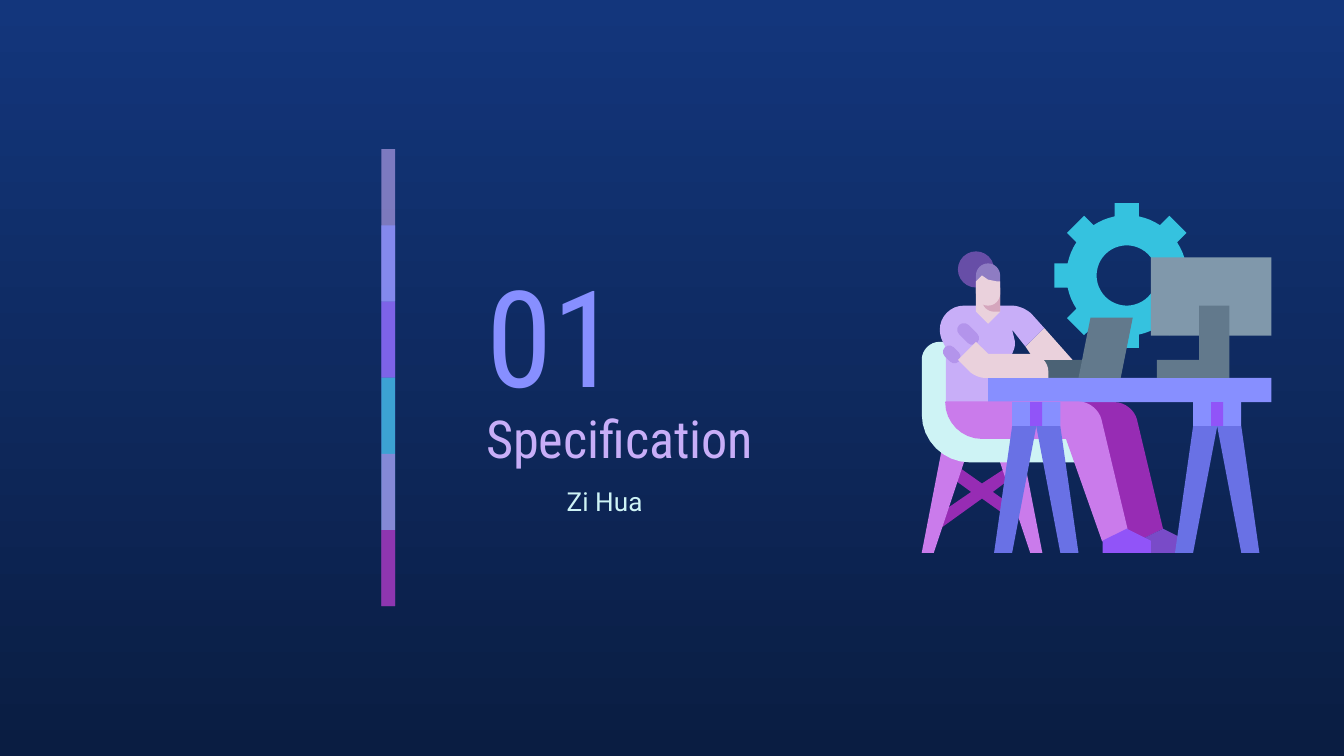
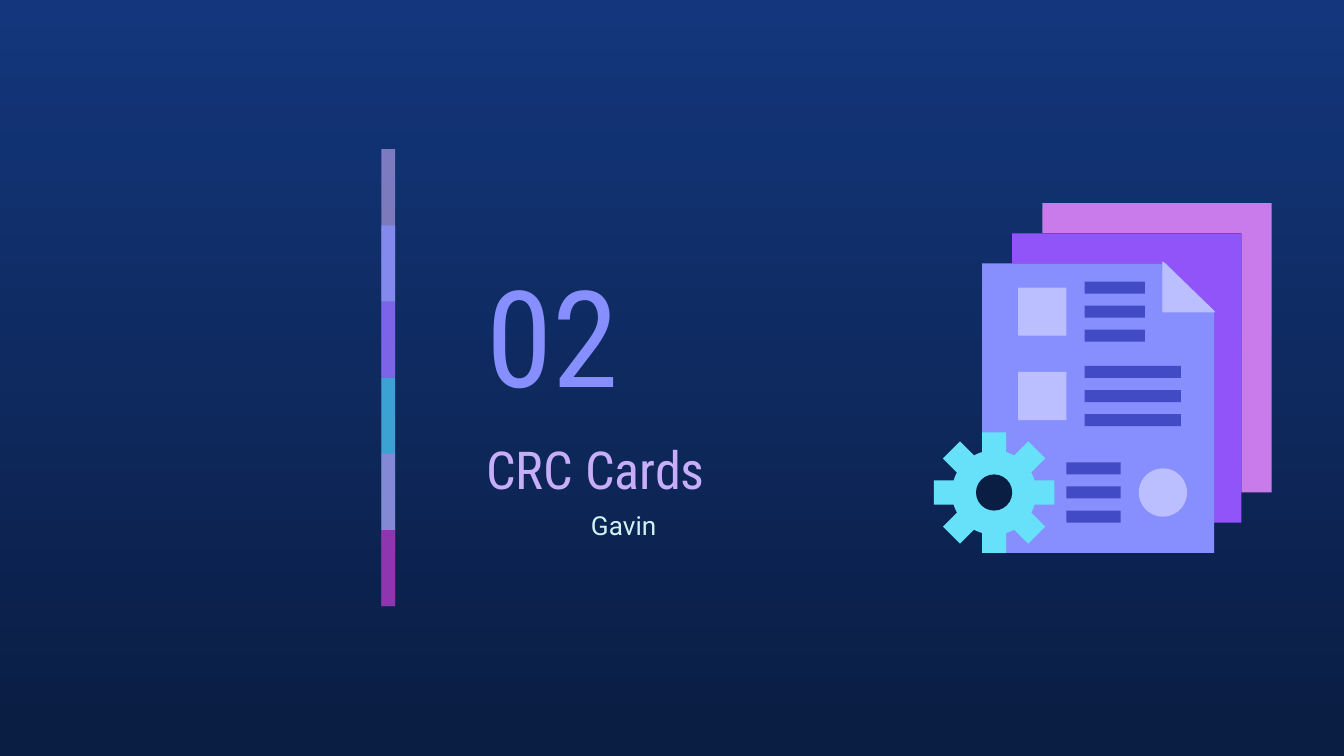
"""Build two section slides with a shared colour band and flat illustrations."""
import math

from lxml import etree
from pptx import Presentation
from pptx import util as u
from pptx.dml.color import RGBColor
from pptx.enum import shapes, text
from pptx.oxml import ns

NAVY_TOP = RGBColor(0x13, 0x36, 0x7C)
NAVY = RGBColor(0x0A, 0x1D, 0x42)
LILAC = RGBColor(0xC8, 0xAE, 0xF8)
PERIWINKLE = RGBColor(0x87, 0x8F, 0xFF)
VIOLET = RGBColor(0x91, 0x54, 0xF8)
TEAL = RGBColor(0x35, 0xC2, 0xDF)
ORCHID = RGBColor(0xCA, 0x7B, 0xEB)
PLUM = RGBColor(0x97, 0x2C, 0xB4)
ICE = RGBColor(0xCE, 0xF3, 0xF5)
AQUA = RGBColor(0x67, 0xE0, 0xF9)
PALE = RGBColor(0xBB, 0xBF, 0xFF)
INDIGO = RGBColor(0x42, 0x4B, 0xC4)
TRESTLE = RGBColor(0x69, 0x71, 0xE5)
GRAPHITE = RGBColor(0x4B, 0x62, 0x75)
STEEL = RGBColor(0x62, 0x79, 0x8C)
SILVER = RGBColor(0x80, 0x98, 0xAB)
SKIN = RGBColor(0xEA, 0xD1, 0xDC)
BLUSH = RGBColor(0xD5, 0xA6, 0xBD)
PATCH = RGBColor(0xB3, 0x94, 0xEB)
BUN = RGBColor(0x67, 0x4E, 0xA7)
HAIR = RGBColor(0x8E, 0x7C, 0xC3)
SHADED_SHOE = RGBColor(0x79, 0x4B, 0xC8)

BAND = [(LILAC, 59), (PERIWINKLE, 74), (VIOLET, 53),
        (TEAL, 76), (ORCHID, 56), (PLUM, 74)]
ART_LEFT, ART_TOP, ART_SIZE, ART_CELLS = 17.42, 3.84, 6.61, 58
RECT = shapes.MSO_SHAPE.RECTANGLE
OVAL = shapes.MSO_SHAPE.OVAL
PILL = shapes.MSO_SHAPE.ROUNDED_RECTANGLE


def cells(count):
    """Turn a count of illustration grid cells into a length."""
    return u.Cm(count * ART_SIZE / ART_CELLS)


def place(x, y):
    """Turn a grid position into a position on the slide."""
    return u.Cm(ART_LEFT) + cells(x), u.Cm(ART_TOP) + cells(y)


def polar(center, radius, angle):
    """Return the grid point at an angle and a distance from a center."""
    return center[0] + radius * math.sin(angle), center[1] - radius * math.cos(angle)


def toward(start, end, distance):
    """Return the point that lies a distance from start on the way to end."""
    share = distance / math.dist(start, end)
    return tuple(a + (b - a) * share for a, b in zip(start, end))


def rounded(outline, steps=8):
    """Replace each corner that carries a radius by a smooth curve."""
    points = []
    for index, (x, y, *radius) in enumerate(outline):
        corner = (x, y)
        if not radius:
            points.append(corner)
            continue
        before = outline[index - 1][:2]
        after = outline[(index + 1) % len(outline)][:2]
        enter = toward(corner, before, radius[0])
        leave = toward(corner, after, radius[0])
        for step in range(steps + 1):
            t = step / steps
            near = (1 - t) ** 3 + 1.35 * t * (1 - t) ** 2
            far = t ** 3 + 1.35 * t ** 2 * (1 - t)
            points.append(tuple(near * a + far * b + (1 - near - far) * c
                                for a, b, c in zip(enter, leave, corner)))
    return points


class Deck:
    """Hold the presentation, its style and the current slide."""

    def __init__(self):
        """Start an empty widescreen presentation."""
        self.prs = Presentation()
        self.prs.slide_width, self.prs.slide_height = u.Cm(25.4), u.Cm(14.29)

    def section(self, number, heading, heading_top, speaker, speaker_at):
        """Add a section slide with its background, band and texts."""
        self.slide = self.prs.slides.add_slide(self.prs.slide_layouts[6])
        backdrop = self.slide.background.fill
        backdrop.gradient()
        backdrop.gradient_angle = 270
        for stop, color in zip(backdrop.gradient_stops, (NAVY_TOP, NAVY)):
            stop.color.rgb = color
        self.band()
        middle, top = text.MSO_ANCHOR.MIDDLE, text.MSO_ANCHOR.TOP
        self.label(number, (8.94, 4.6, 4.45, 3.43), 72, PERIWINKLE, anchor=middle)
        self.label(heading, (8.94, heading_top, 7.29, 1.7), 28, LILAC, anchor=middle)
        self.label(speaker, (*speaker_at, 6.43, 1.75), 14, ICE, "Roboto", top, 16)
        self.art = self.slide.shapes.add_group_shape().shapes

    def paint(self, shape, color, edge=False):
        """Give a shape a flat fill and an optional edge of the same colour."""
        shape.shadow.inherit = False
        shape.fill.solid()
        shape.fill.fore_color.rgb = color
        if edge:
            shape.line.color.rgb = color
            shape.line.width = u.Pt(0.75)
        else:
            shape.line.fill.background()
        return shape

    def band(self):
        """Draw the overlapping translucent bars."""
        pitch = 1.44
        bars = self.slide.shapes.add_group_shape().shapes
        for row, (color, opacity) in enumerate(BAND):
            height = pitch if row == len(BAND) - 1 else 2 * pitch
            bar = bars.add_shape(RECT, u.Cm(7.21), u.Cm(2.82 + row * pitch),
                                 u.Cm(0.26), u.Cm(height))
            self.paint(bar, color)
            tint = next(bar.element.iter(ns.qn("a:srgbClr")))
            etree.SubElement(tint, ns.qn("a:alpha"), val=str(opacity * 1000))

    def label(self, words, box, size, color, font="Roboto Condensed",
              anchor=None, after=0):
        """Add a line of text in a box."""
        frame = self.slide.shapes.add_textbox(*map(u.Cm, box)).text_frame
        frame.word_wrap = True
        frame.vertical_anchor = anchor
        frame.margin_left = frame.margin_right = u.Cm(0.25)
        frame.margin_top = frame.margin_bottom = u.Cm(0.25)
        line = frame.paragraphs[0]
        line.space_after = u.Pt(after)
        run = line.add_run()
        run.text = words
        run.font.name, run.font.size = font, u.Pt(size)
        run.font.color.rgb = color

    def block(self, color, x, y, width, height, kind=RECT, turn=0):
        """Draw a preset shape on the illustration grid."""
        shape = self.art.add_shape(kind, *place(x, y), cells(width), cells(height))
        shape.rotation = turn
        if kind == PILL:
            shape.adjustments[0] = 0.5
        self.paint(shape, color)

    def outline(self, color, *contours, edge=False):
        """Draw closed contours on the illustration grid as one shape."""
        builder = None
        for contour in contours:
            first, *rest = [place(*point) for point in rounded(contour)]
            if builder is None:
                builder = self.art.build_freeform(*first)
            else:
                builder.move_to(*first)
            builder.add_line_segments(rest, close=True)
        self.paint(builder.convert_to_shape(), color, edge)

    def gear(self, color, center, body, tip, hole=0):
        """Draw a gear with eight teeth and an optional hole."""
        turn, half = math.pi / 4, 2
        base, crown = math.asin(half / body), math.atan(half / tip)
        reach = math.hypot(half, tip)
        rim = []
        for tooth in range(8):
            angle = tooth * turn
            rim += [polar(center, radius, angle + shift) for radius, shift in
                    ((body, -base), (reach, -crown), (reach, crown), (body, base))]
            rim += [polar(center, body, angle + base + (turn - 2 * base) * step / 4)
                    for step in (1, 2, 3)]
        ring = [polar(center, hole, -math.tau * step / 48) for step in range(48)]
        self.outline(color, *([rim, ring] if hole else [rim]))

    def splayed(self, color, middle, profile):
        """Draw a pair of legs that mirror each other."""
        for side in (-1, 1):
            self.outline(color, [(middle + side * x, y) for x, y in profile])


def draw_desk_worker(deck):
    """Draw a person at a desk with a laptop, a monitor and a gear."""
    deck.gear(TEAL, (34, 12), 10, 12, 5)
    deck.block(GRAPHITE, 20, 26, 7, 3)
    deck.outline(PLUM, [(5.6, 43.4), (4.5, 45.2), (8.2, 47.9), (1.8, 52.3),
                        (2.9, 54.1), (10, 49), (13.8, 51.7), (14.9, 50.1),
                        (11.8, 47.9), (15.4, 45.2), (14.3, 43.7), (10, 46.5)])
    deck.splayed(ORCHID, 10, [(2, 40), (8, 58), (10, 58), (6.5, 40)])
    deck.outline(ICE, [(0, 23, 3), (0, 43, 8), (27, 43), (27, 38), (5, 38, 5), (5, 23)])
    deck.outline(PLUM, [(10, 33), (10, 39, 6), (30, 39), (34, 56), (36, 56),
                        (40, 54), (35, 33, 3)])
    deck.outline(SHADED_SHOE, [(40, 54), (36, 56), (34, 56), (34, 58), (44, 58), (44, 56)])
    deck.outline(SKIN, [(17.2, 23.8), (18.7, 26), (25, 26), (20.3, 20.7)])
    deck.outline(LILAC, [(3, 17, 4), (3, 22, 1), (4, 24), (4, 33), (15, 33), (15, 25),
                         (15.6, 23.5, 0.8), (15, 21), (17.2, 23.8), (20.3, 20.7),
                         (17, 17, 2)])
    deck.block(PERIWINKLE, 11, 29, 47, 4)
    deck.block(PATCH, 3.35, 24.05, 3.3, 2.1, PILL, 45)
    deck.block(PATCH, 5.6, 20.6, 4.2, 2.2, PILL, 45)
    deck.outline(SKIN, [(9, 14), (9, 18), (11, 20), (13, 18), (13, 14)])
    deck.outline(SKIN, [(9, 23), (6, 26), (9, 29, 1.5), (21, 29), (21, 25, 3), (11, 25)])
    deck.outline(STEEL, [(28, 19), (26, 29), (33, 29), (35, 19)])
    deck.outline(ORCHID, [(4, 33), (4, 39, 6), (24, 39), (30, 56), (34, 54),
                          (29, 33, 3)], edge=True)
    deck.outline(VIOLET, [(34, 54), (30, 56), (30, 58), (38, 58), (38, 56)])
    deck.block(SILVER, 38, 9, 20, 13)
    deck.outline(STEEL, [(46, 17), (46, 26), (39, 26), (39, 29), (51, 29), (51, 17)])
    for middle in (49, 19):
        deck.block(PERIWINKLE, middle - 4, 33, 8, 4)
        deck.block(VIOLET, middle - 1, 33, 2, 4)
        deck.splayed(TRESTLE, middle, [(4, 37), (7, 58), (4, 58), (0, 37)])
    deck.outline(BLUSH, [(10, 14), (10, 18, 2), (13, 18), (13, 14)])
    deck.block(BUN, 6, 8, 6, 6, OVAL)
    deck.outline(HAIR, [(9, 10, 2), (9, 14), (13, 14), (13, 10, 2)])
    deck.outline(SKIN, [(10, 12), (9, 13), (9, 17, 2), (13, 17, 2), (13, 13),
                        (12.5, 13), (11, 12.7)])


def draw_documents(deck):
    """Draw a stack of documents with a gear."""
    deck.outline(ORCHID, [(20, 0), (20, 5), (53, 5), (53, 48), (58, 48), (58, 0)])
    deck.outline(VIOLET, [(15, 5), (15, 10), (40, 10), (48, 18), (48, 53), (53, 53), (53, 5)])
    deck.outline(PERIWINKLE, [(10, 10), (10, 58), (48.5, 58), (48.5, 18), (40.5, 10)])
    deck.gear(AQUA, (12, 48), 7, 10)
    deck.block(NAVY, 9, 45, 6, 6, OVAL)
    for x, y, kind in ((16, 14, RECT), (16, 28, RECT), (36, 44, OVAL)):
        deck.block(PALE, x, y, 8, 8, kind)
    for x, y, width in ((27, 13, 10), (27, 27, 16), (24, 43, 9)):
        for row in range(3):
            deck.block(INDIGO, x, y + 4 * row, width, 2)
    deck.outline(PALE, [(40, 9.8), (40, 18), (48.5, 18)], edge=True)


def main():
    """Build and save both slides."""
    deck = Deck()
    deck.section("01", "Specification", 7.42, "Zi Hua", (10.46, 8.92))
    draw_desk_worker(deck)
    deck.section("02", "CRC Cards", 8, "Gavin", (10.92, 9.37))
    draw_documents(deck)
    deck.prs.save("out.pptx")


if __name__ == "__main__":
    main()
